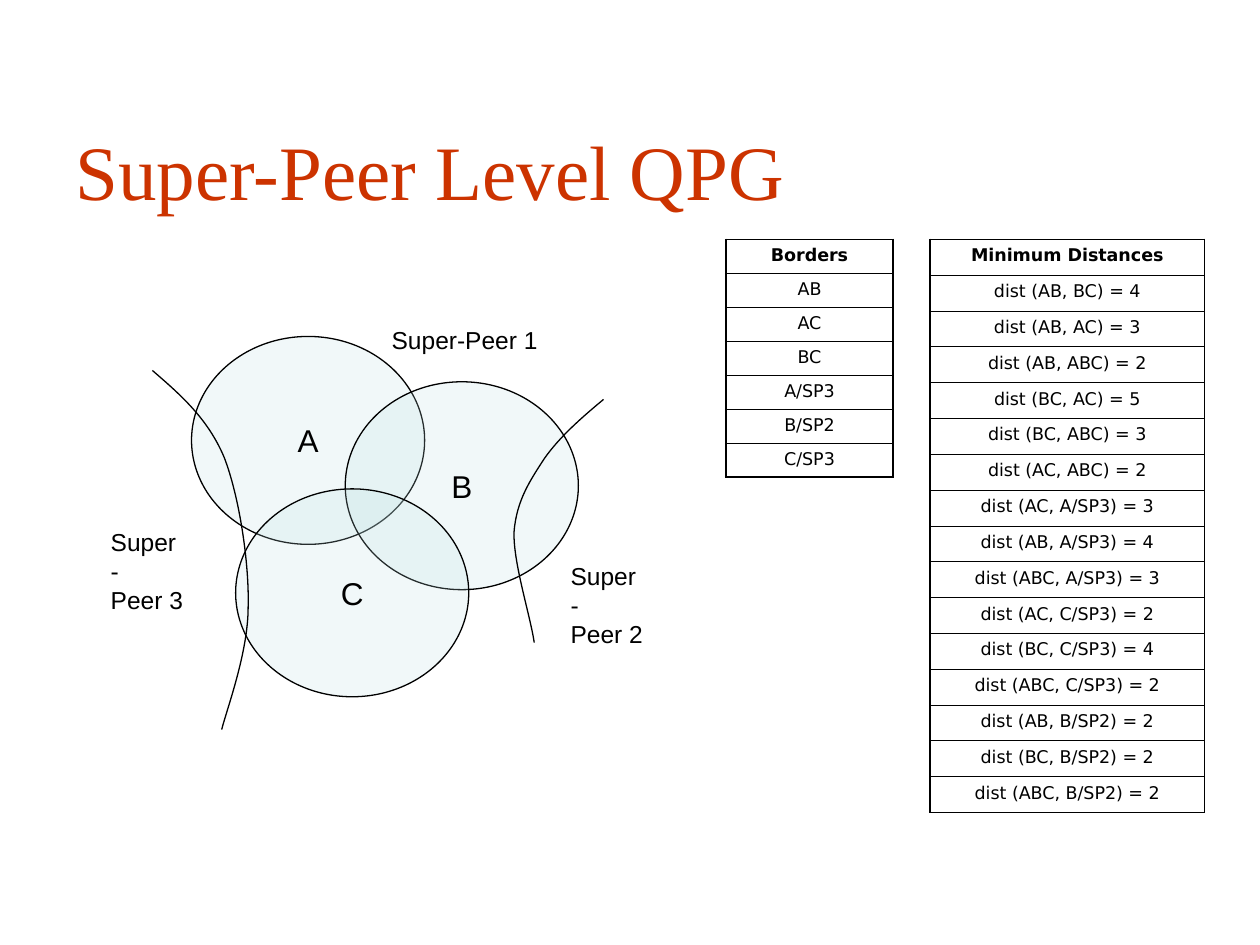
from lxml import etree
from pptx import Presentation
from pptx.dml.color import RGBColor
from pptx.enum.shapes import MSO_SHAPE
from pptx.enum.text import MSO_ANCHOR, MSO_AUTO_SIZE, PP_ALIGN
from pptx.oxml import parse_xml
from pptx.oxml.ns import nsdecls, qn
from pptx.util import Inches, Pt

OVAL = MSO_SHAPE.OVAL
MIDDLE = MSO_ANCHOR.MIDDLE
FIT_SHAPE = MSO_AUTO_SIZE.SHAPE_TO_FIT_TEXT
LEFT, CENTER = PP_ALIGN.LEFT, PP_ALIGN.CENTER

BLACK = RGBColor(0x00, 0x00, 0x00)
RED = RGBColor(0xCC, 0x33, 0x00)
PALE_TEAL = RGBColor(0xBB, 0xE0, 0xE3)

THICK, THIN = 1.08, 0.45
PEER_SIZE = (1.85, 1.65)
PEERS = [("A", 0.74, 0.14), ("B", 1.96, 0.5), ("C", 1.09, 1.35)]
LABELS = [
    ("Super-\nPeer 3", (0, 1.6, 0.78, 0.57), False),
    ("Super-\nPeer 2", (3.65, 1.87, 0.78, 0.57), False),
    ("Super-Peer 1", (2.23, 0, 1.49, 0.34), True),
]
BOUNDARIES = [
    [(4.01, 0.64), (3.83, 0.79), (3.66, 0.94), (3.54, 1.11), (3.43, 1.28),
     (3.32, 1.44), (3.3, 1.69), (3.29, 1.93), (3.43, 2.36), (3.46, 2.57)],
    [(0.43, 0.41), (0.65, 0.6), (0.87, 0.79), (1, 1.1), (1.12, 1.41),
     (1.2, 1.94), (1.19, 2.29), (1.19, 2.65), (1.02, 3.1), (0.98, 3.26)],
]
BORDERS = ["Borders", "AB", "AC", "BC", "A/SP3", "B/SP2", "C/SP3"]
DISTANCES = [
    ("AB, BC", 4), ("AB, AC", 3), ("AB, ABC", 2), ("BC, AC", 5),
    ("BC, ABC", 3), ("AC, ABC", 2), ("AC, A/SP3", 3), ("AB, A/SP3", 4),
    ("ABC, A/SP3", 3), ("AC, C/SP3", 2), ("BC, C/SP3", 4), ("ABC, C/SP3", 2),
    ("AB, B/SP2", 2), ("BC, B/SP2", 2), ("ABC, B/SP2", 2),
]


def write(tf, text, font="Arial", size=14, color=BLACK, bold=False, align=LEFT):
    for i, line in enumerate(text.split("\n")):
        p = tf.paragraphs[0] if i == 0 else tf.add_paragraph()
        p.alignment = align
        r = p.add_run()
        r.text = line
        r.font.name, r.font.size, r.font.bold = font, Pt(size), bold
        r.font.color.rgb = color


def outline(sp):
    sp.shadow.inherit = False
    sp.line.color.rgb = BLACK
    sp.line.width = Pt(0.75)


def add_title(s, text, left, top, width, height):
    sp = s.shapes.title
    sp.left, sp.top = Inches(left), Inches(top)
    sp.width, sp.height = Inches(width), Inches(height)
    sp.text_frame.vertical_anchor = MIDDLE
    write(sp.text_frame, text, font="Times New Roman", size=44, color=RED)


def add_peer(s, name, left, top):
    width, height = PEER_SIZE
    sp = s.shapes.add_shape(OVAL, Inches(left), Inches(top), Inches(width), Inches(height))
    outline(sp)
    sp.fill.solid()
    sp.fill.fore_color.rgb = PALE_TEAL
    color = sp._element.spPr.find(qn("a:solidFill"))[0]
    etree.SubElement(color, qn("a:alpha"), val="20000")
    tf = sp.text_frame
    tf.word_wrap = False
    tf.vertical_anchor = MIDDLE
    write(tf, name, size=18, align=CENTER)


def add_curve(s, points, left, top):
    pts = [(Inches(left + x), Inches(top + y)) for x, y in points]
    builder = s.shapes.build_freeform(*pts[0])
    builder.add_line_segments(pts[1:], close=False)
    sp = builder.convert_to_shape()
    outline(sp)
    sp.fill.background()
    figure = sp._element.find(".//" + qn("a:path"))
    segments = figure.findall(qn("a:lnTo"))
    for i in range(0, len(segments), 3):
        bezier = etree.SubElement(figure, qn("a:cubicBezTo"))
        for segment in segments[i:i + 3]:
            bezier.append(segment[0])
            figure.remove(segment)


def add_diagram(s, left, top):
    for name, x, y in PEERS:
        add_peer(s, name, left + x, top + y)
    for points in BOUNDARIES:
        add_curve(s, points, left, top)
    for text, (x, y, width, height), wrap in LABELS:
        sp = s.shapes.add_textbox(Inches(left + x), Inches(top + y), Inches(width), Inches(height))
        sp.text_frame.word_wrap = wrap
        sp.text_frame.auto_size = FIT_SHAPE
        write(sp.text_frame, text)


def set_borders(cell, **widths):
    tcPr = cell._tc.get_or_add_tcPr()
    for side, width in widths.items():
        tcPr.append(parse_xml(
            f'<a:ln{side} {nsdecls("a")} w="{Pt(width)}"><a:solidFill>'
            f'<a:srgbClr val="{BLACK}"/></a:solidFill></a:ln{side}>'))


def add_list_table(s, rows, left, top, width, height):
    frame = s.shapes.add_table(len(rows), 1, Inches(left), Inches(top), Inches(width), Inches(height))
    table = frame.table
    table.first_row = table.horz_banding = False
    for i, text in enumerate(rows):
        cell = table.cell(i, 0)
        set_borders(cell, L=THICK, R=THICK, T=THICK if i == 0 else THIN,
                    B=THICK if i == len(rows) - 1 else THIN)
        cell.fill.background()
        write(cell.text_frame, text, font="DejaVu Sans", size=10, bold=i == 0, align=CENTER)


def main():
    prs = Presentation()
    prs.slide_width, prs.slide_height = Inches(10), Inches(7.5)
    s = prs.slides.add_slide(prs.slide_layouts[5])
    add_title(s, "Super-Peer Level QPG", 0.5, 0.72, 9, 1.25)
    add_diagram(s, 0.78, 2.53)
    distances = [f"dist ({pair}) = {value}" for pair, value in DISTANCES]
    add_list_table(s, ["Minimum Distances"] + distances, 7.38, 1.9, 2.18, 4.55)
    add_list_table(s, BORDERS, 5.76, 1.9, 1.33, 1.89)
    prs.save("out.pptx")


if __name__ == "__main__":
    main()
